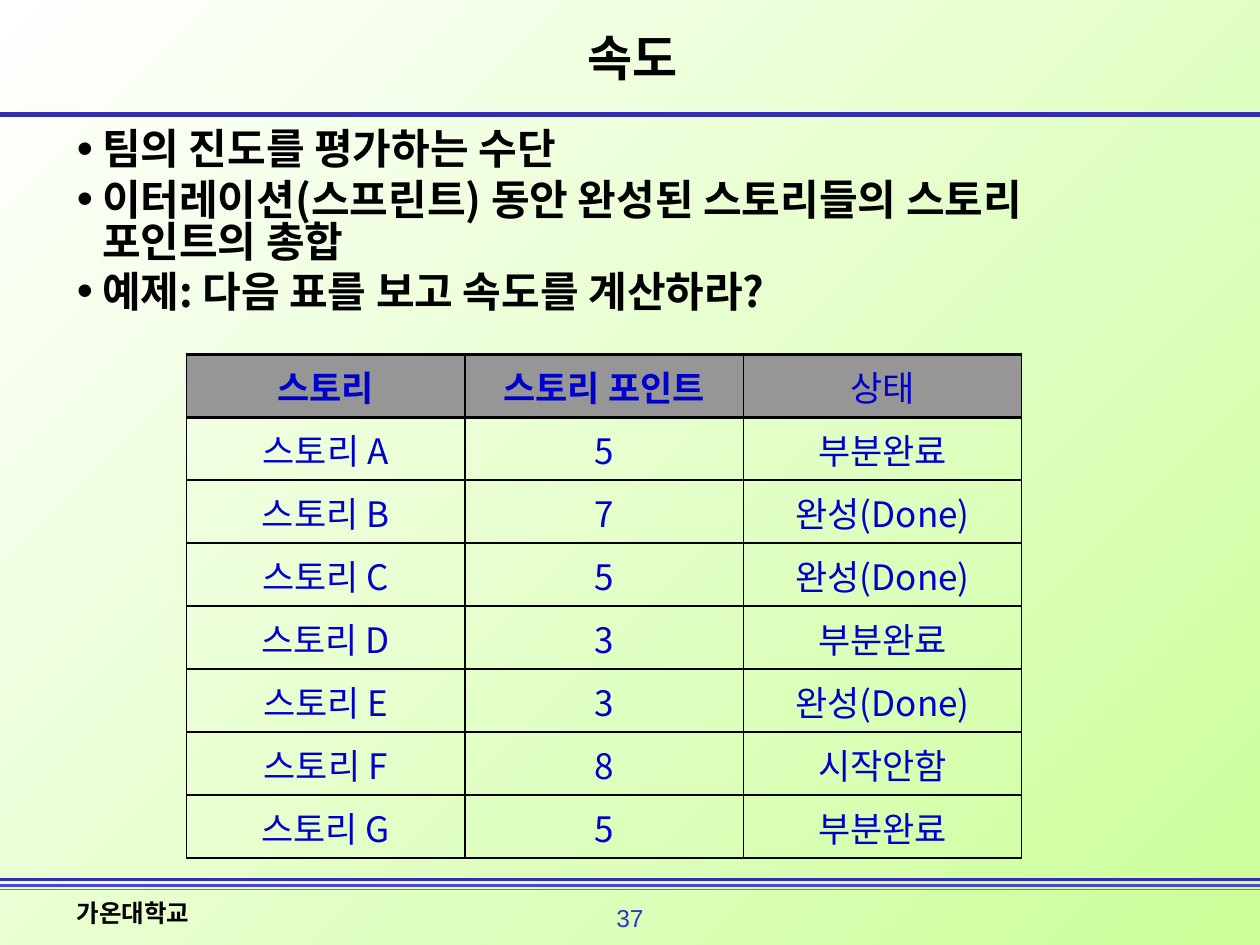
from lxml.etree import SubElement as Sub
from pptx import Presentation
from pptx.dml.color import RGBColor
from pptx.enum.shapes import MSO_CONNECTOR as Conn
from pptx.enum.text import MSO_ANCHOR as Anchor, MSO_AUTO_SIZE as Auto, PP_ALIGN as Align
from pptx.oxml.ns import qn
from pptx.util import Inches, Pt

WIDE, HIGH = 10, 7.5
SANS = "Noto Sans CJK KR"
RULES = [(0.91, "352CB0", 3), (7.03, "4F45D1", 1.5), (7.06, "7870DC", 1), (6.98, "352CB0", 2.25)]
POINTS = [
    "팀의 진도를 평가하는 수단",
    "이터레이션(스프린트) 동안 완성된 스토리들의 스토리 포인트의 총합",
    "예제: 다음 표를 보고 속도를 계산하라?",
]
HEAD = ("스토리", "스토리 포인트", "상태")
PART, DONE, NONE = "부분완료", "완성(Done)", "시작안함"
TALES = [("A", 5, PART), ("B", 7, DONE), ("C", 5, DONE), ("D", 3, PART),
         ("E", 3, DONE), ("F", 8, NONE), ("G", 5, PART)]


def tint(code):
    """Turn a hex string into a colour."""
    return RGBColor.from_string(code)


def place(shape, left, top, width, height):
    """Move and size a shape, in inches."""
    shape.left, shape.top = Inches(left), Inches(top)
    shape.width, shape.height = Inches(width), Inches(height)


def write(para, text, size, code="000000", bold=False, face=SANS, align=Align.LEFT):
    """Add one formatted run to a paragraph."""
    para.alignment = align
    run = para.add_run()
    run.text = text
    font = run.font
    font.size, font.bold, font.name = Pt(size), bold, face
    font.color.rgb = tint(code)
    Sub(run._r.get_or_add_rPr(), qn("a:ea"), typeface=face)


def shade(slide):
    """Fill the background with a diagonal gradient."""
    fill = slide.background.fill
    fill.gradient()
    fill.gradient_angle = 315
    for stop, code in zip(fill.gradient_stops, ("FFFFFF", "CCFF99")):
        stop.color.rgb = tint(code)


def rule(slide, y, code, weight):
    """Draw a line across the slide."""
    line = slide.shapes.add_connector(Conn.STRAIGHT, 0, Inches(y), Inches(WIDE), Inches(y))
    line.line.color.rgb = tint(code)
    line.line.width = Pt(weight)
    Sub(line._element.spPr, qn("a:effectLst"))


def label(slide, box, text, wrap=True, **look):
    """Add a small footer text."""
    shape = slide.shapes.add_textbox(0, 0, 0, 0)
    place(shape, *box)
    shape.text_frame.word_wrap = wrap
    write(shape.text_frame.paragraphs[0], text, 14, **look)


def title(slide, text):
    """Fill the title placeholder."""
    shape = slide.shapes.title
    place(shape, 2.48, 0.28, 5.08, 0.35)
    frame = shape.text_frame
    frame.auto_size, frame.vertical_anchor = Auto.NONE, Anchor.MIDDLE
    write(frame.paragraphs[0], text, 28, bold=True, align=Align.CENTER)


def points(slide, items):
    """Fill the body placeholder with bullets."""
    shape = slide.placeholders[1]
    place(shape, 0.51, 0.99, 8.79, 1.59)
    frame = shape.text_frame
    frame.auto_size = Auto.NONE
    for i, item in enumerate(items):
        para = frame.add_paragraph() if i else frame.paragraphs[0]
        write(para, item, 24, bold=True)
        para.line_spacing, para.space_before = 0.84, Pt(4.5)
        props = para._p.get_or_add_pPr()
        props.set("marL", str(Inches(0.2)))
        props.set("indent", str(Inches(-0.2)))
        Sub(props, qn("a:buSzPct"), val="110000")
        Sub(props, qn("a:buChar"), char="•")


def edge(cell, side, weight):
    """Add one black border to a cell."""
    line = Sub(cell._tc.get_or_add_tcPr(), qn(f"a:ln{side}"), w=str(Pt(weight)))
    Sub(Sub(line, qn("a:solidFill")), qn("a:srgbClr"), val="000000")


def grid(slide, rows):
    """Add the story table."""
    count, cols = len(rows), len(rows[0])
    size = [Inches(n) for n in (1.48, 2.81, 2.21 * cols, 0.5 * count)]
    table = slide.shapes.add_table(count, cols, *size).table
    table.first_row = table.horz_banding = False
    for r, row in enumerate(rows):
        for c, text in enumerate(row):
            cell = table.cell(r, c)
            edge(cell, "L", 1 if c else 0.75)
            edge(cell, "R", 1 if c < cols - 1 else 0.75)
            edge(cell, "T", 2 if r < 2 else 1)
            edge(cell, "B", 2 if r == 0 else 1)
            if r:
                cell.fill.background()
            else:
                cell.fill.solid()
                cell.fill.fore_color.rgb = tint("969696")
            write(cell.text_frame.paragraphs[0], str(text), 20, "0000CC",
                  bold=r == 0 and c < 2, align=Align.CENTER)


def main():
    """Build and save the slide."""
    deck = Presentation()
    deck.slide_width, deck.slide_height = Inches(WIDE), Inches(HIGH)
    slide = deck.slides.add_slide(deck.slide_layouts[1])
    shade(slide)
    for spec in RULES:
        rule(slide, *spec)
    label(slide, (4.78, 7.12, 0.44, 0.33), "37", wrap=False,
          code="3333CC", face="Arial", align=Align.CENTER)
    label(slide, (0.51, 7.08, 2.84, 0.33), "가온대학교", bold=True)
    title(slide, "속도")
    points(slide, POINTS)
    grid(slide, [HEAD] + [(f"스토리 {name}", score, state) for name, score, state in TALES])
    deck.save("out.pptx")


if __name__ == "__main__":
    main()
